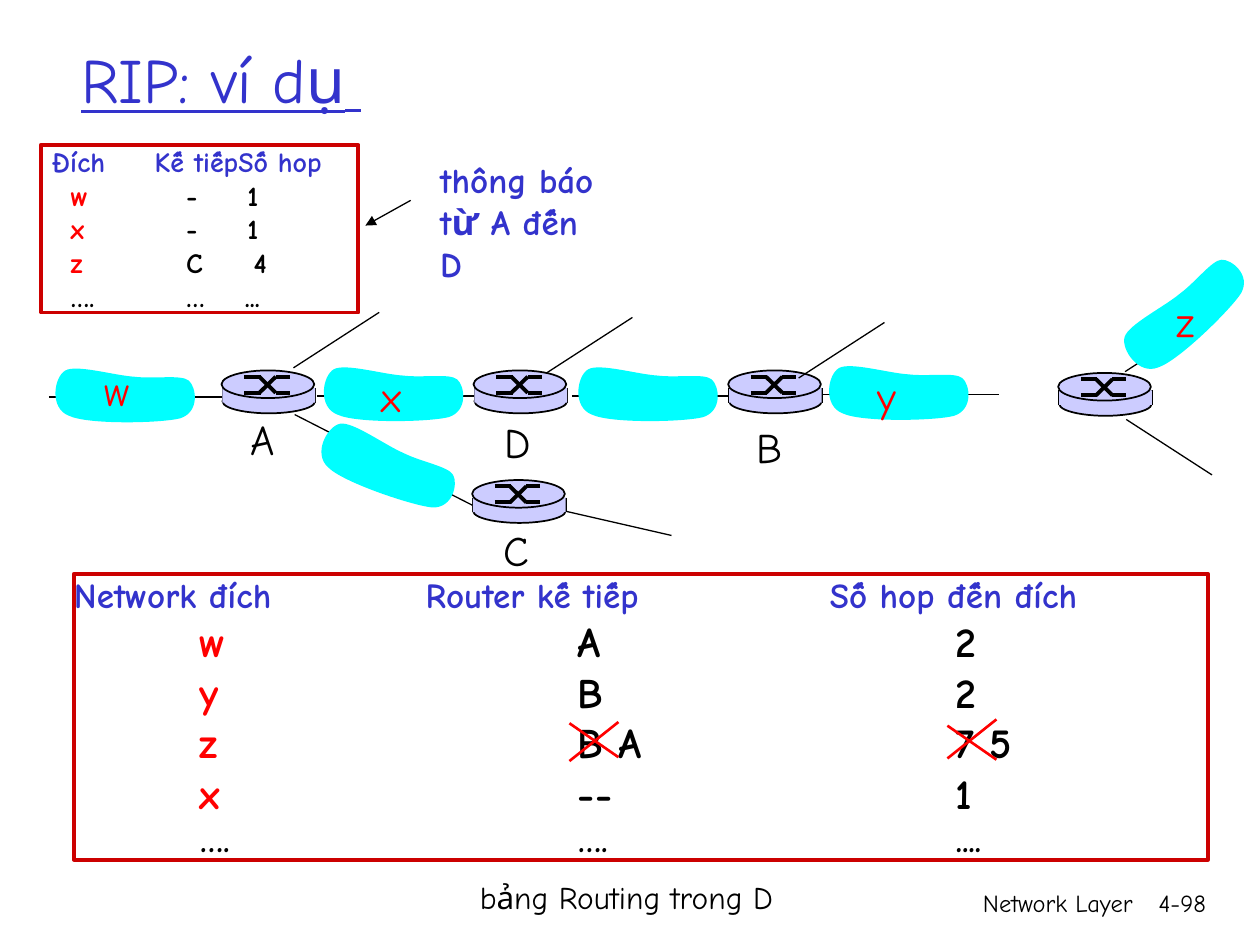
from pptx import Presentation
from pptx.dml.color import RGBColor
from pptx.enum.shapes import MSO_CONNECTOR, MSO_SHAPE
from pptx.enum.text import MSO_ANCHOR, MSO_AUTO_SIZE, PP_ALIGN
from pptx.oxml.ns import qn
from pptx.util import Pt
from lxml import etree

FONT = "Comic Neue"
BLACK = RGBColor(0x00, 0x00, 0x00)
BLUE = RGBColor(0x33, 0x33, 0xCC)
RED = RGBColor(0xFF, 0x00, 0x00)
FRAME = RGBColor(0xCC, 0x00, 0x00)
CYAN = RGBColor(0x00, 0xFF, 0xFF)
LILAC = RGBColor(0xCC, 0xCC, 0xFF)

RECT, OVAL = MSO_SHAPE.RECTANGLE, MSO_SHAPE.OVAL
STRAIGHT = MSO_CONNECTOR.STRAIGHT
LEFT, RIGHT = PP_ALIGN.LEFT, PP_ALIGN.RIGHT
TOP, MIDDLE = MSO_ANCHOR.TOP, MSO_ANCHOR.MIDDLE
NO_FIT, GROW = MSO_AUTO_SIZE.NONE, MSO_AUTO_SIZE.SHAPE_TO_FIT_TEXT

# Cloud outline: a start point, then three Bezier points for each curve
WIDE, HIGH = 86.4, 34.6
START = (49, 7.2)
CURVES = [
    ((37.4, 6.5), (15.8, 0), (9.4, 3.6)),
    ((2.9, 7.2), (0, 25.2), (11.5, 29.5)),
    ((22.3, 34.6), (63.4, 33.8), (74.9, 31)),
    ((86.4, 27.4), (84.2, 13), (79.9, 9.4)),
    ((75.6, 5.8), (60.5, 8.6), START),
]


def add_run(par, text, size, color, bold=False):
    run = par.add_run()
    run.text = text
    font = run.font
    font.name, font.size, font.bold = FONT, Pt(size), bold
    font.color.rgb = color
    return run


def add_text(slide, box, lines, size, color=BLACK, bold=False, align=LEFT, wrap=False):
    frame = slide.shapes.add_textbox(*map(Pt, box)).text_frame
    frame.word_wrap = wrap
    frame.auto_size = NO_FIT if wrap else GROW
    for i, line in enumerate(lines):
        par = frame.add_paragraph() if i else frame.paragraphs[0]
        par.alignment = align
        add_run(par, line, size, color, bold)


def add_line(slide, start, end, width=0.75, color=BLACK, arrow=False):
    line = slide.shapes.add_connector(STRAIGHT, *map(Pt, (*start, *end)))
    line.line.color.rgb = color
    line.line.width = Pt(width)
    if arrow:
        etree.SubElement(line.line._get_or_add_ln(), qn("a:tailEnd"), type="triangle")
    etree.SubElement(line._element.spPr, qn("a:effectLst"))


def add_form(slide, kind, box, fill=None, edge=None, width=1):
    form = slide.shapes.add_shape(kind, *map(Pt, box))
    form.shadow.inherit = False
    if fill is None:
        form.fill.background()
    else:
        form.fill.solid()
        form.fill.fore_color.rgb = fill
    if edge is None:
        form.line.fill.background()
    else:
        form.line.color.rgb = edge
        form.line.width = Pt(width)
    return form


def add_title(slide, box):
    title = slide.shapes.title
    title.left, title.top, title.width, title.height = map(Pt, box)
    frame = title.text_frame
    frame.auto_size, frame.vertical_anchor = NO_FIT, MIDDLE
    par = frame.paragraphs[0]
    par.alignment = LEFT
    for text, size in (("RIP: ví dụ", 36), (" ", 28)):
        add_run(par, text, size, BLUE).font.underline = True


def set_tabs(par, stops):
    tabs = etree.SubElement(par._p.get_or_add_pPr(), qn("a:tabLst"))
    for stop in stops:
        etree.SubElement(tabs, qn("a:tab"), pos=str(Pt(stop)), algn="l")


def add_board(slide, box, head, stops, rows, cols, ends, sizes):
    """Framed routing list; ends holds the last tab stop of each row."""
    frame = add_form(slide, RECT, box, edge=FRAME, width=2.25).text_frame
    frame.margin_left = frame.margin_right = frame.margin_top = frame.margin_bottom = 0
    frame.vertical_anchor, frame.word_wrap = TOP, True
    par = frame.paragraphs[0]
    par.alignment = LEFT
    set_tabs(par, stops)
    add_run(par, head, sizes[0], BLUE, True)
    for i, ((key, *rest), end) in enumerate(zip(rows, ends), 1):
        last = i == len(rows)
        size = sizes[2] if last else sizes[1]
        par = frame.add_paragraph()
        par.alignment = LEFT
        set_tabs(par, (*cols, end))
        add_run(par, "\t" + key, size, BLACK if last else RED, True)
        add_run(par, "\t" + "\t".join(rest), size, BLACK, True)


def add_router(slide, x, y):
    wide = 53
    add_form(slide, OVAL, (x + 0.5, y + 10.8, wide, 13.7), LILAC, BLACK)
    for side in (x + 0.5, x + 0.5 + wide):
        add_line(slide, (side, y + 10), (side, y + 18.4), 1)
    add_form(slide, RECT, (x + 0.5, y + 10, wide, 8.4), LILAC)
    add_form(slide, OVAL, (x, y, wide, 15.8), LILAC, BLACK)
    high, low = y + 3.6, y + 12.8
    for a, b in ((high, low), (low, high)):
        add_line(slide, (x + 13, a), (x + 22.3, a), 2.25)
        add_line(slide, (x + 21.6, a), (x + 31, b), 2.25)
        add_line(slide, (x + 31, b), (x + 39, b), 2.25)


def add_cloud(slide, x, y, turn=0):
    build = slide.shapes.build_freeform(0, 0, scale=1.0)
    build.add_line_segments([(Pt(WIDE), 0), (Pt(WIDE), Pt(HIGH)), (0, Pt(HIGH))])
    cloud = build.convert_to_shape(Pt(x), Pt(y))
    outline = next(cloud._element.iter(qn("a:path")))
    for part in list(outline):
        outline.remove(part)
    for tag, points in [("a:moveTo", [START])] + [("a:cubicBezTo", c) for c in CURVES]:
        part = etree.SubElement(outline, qn(tag))
        for px, py in points:
            etree.SubElement(part, qn("a:pt"), x=str(Pt(px)), y=str(Pt(py)))
    etree.SubElement(outline, qn("a:close"))
    cloud.shadow.inherit = False
    cloud.fill.solid()
    cloud.fill.fore_color.rgb = CYAN
    cloud.line.fill.background()
    cloud.rotation = turn


def add_net(slide, x, y):
    """Network map; x and y are its left edge and the top of its routers."""
    for dx, dy in ((0, 15.1), (153.4, 14.4), (298.8, 14.4), (442.1, 13.7)):
        add_line(slide, (x + dx, y + dy), (x + dx + 100.7, y + dy), 1)
    for dx, dy in ((98.6, 0), (242.6, 0), (241.8, 62.6), (388.1, 0), (576.7, 1.4)):
        add_router(slide, x + dx, y + dy)
    for dx, dy, wide, high in (
            (139.7, -1.5, 49, -31.7), (284.4, 1.4, 49, -31.7), (428.4, 4.3, 49, -31.7),
            (614.9, 0.7, 49, -31.7), (615.6, 28, 49, 31.7),
            (140.4, 25.2, 101.5, 51.8), (295.9, 80.6, 59.8, 13.7)):
        add_line(slide, (x + dx, y + dy), (x + dx + wide, y + dy + high))
    for dx, dy, turn in ((0, -3.6, 0), (153.4, -4.3, 0), (298.8, -4.3, 0),
                         (442.1, -5, 0), (150.5, 37.4, 19.7), (605.5, -49.7, 316.8)):
        add_cloud(slide, x + dx, y + dy, turn)
    for name, dx, dy, wide, color in (
            ("w", 24.5, -7.2, 28.8, RED), ("x", 182.9, -3.6, 25.9, RED),
            ("y", 466.6, -3.6, 25.2, RED), ("z", 637.2, -46.1, 24.5, RED),
            ("A", 108, 20.9, 28.1, BLACK), ("C", 252.7, 84.2, 28.8, BLACK),
            ("D", 253.4, 23, 29.5, BLACK), ("B", 397.4, 25.9, 28.8, BLACK)):
        add_text(slide, (x + dx, y + dy, wide, 36), [name], 24, color)


def add_cross(slide, x, down, up):
    """Two strokes; down and up are the heights at which they start."""
    add_line(slide, (x, down), (x + 28, down + 19.4), 1.5, RED)
    add_line(slide, (x, up), (x + 28, up - 22.3), 1.5, RED)


def main():
    deck = Presentation()
    deck.slide_width, deck.slide_height = Pt(720), Pt(540)
    slide = deck.slides.add_slide(deck.slide_layouts[5])
    add_text(slide, (426.2, 504, 228.2, 36), ["Network Layer"], 14, align=RIGHT, wrap=True)
    add_text(slide, (643, 504, 53.3, 36), ["4-98"], 14, align=RIGHT, wrap=True)
    add_title(slide, (39.3, 0, 612, 90))
    add_board(slide, (42.3, 327.9, 648, 163.4),
              "Network đích\tRouter kế tiếp\tSố hop đến đích", (201, 432),
              [("w", "A", "2"), ("y", "B", "2"), ("z", "B A", "7 5"),
               ("x", "--", "1"), ("….", "….", "....")],
              (72, 288), [504] * 5, (20, 24, 20))
    add_text(slide, (267.1, 498.2, 182.2, 28.8), ["bảng Routing trong D"], 18)
    add_net(slide, 28, 211.7)
    add_board(slide, (23.4, 82.8, 181.4, 95.8),
              "\tĐích\tKế tiếpSố hop", (6, 65),
              [("w", "-", "1"), ("x", "-", "1"), ("z", "C", "4"), ("….", "…", "...")],
              (17, 83), (118, 118, 121.5, 116.5), (16, 16, 16))
    add_text(slide, (244.5, 87.1, 112.3, 55.4), ["thông báo", "từ A đến D"], 20, BLUE, True)
    add_line(slide, (234.7, 114.5), (208.8, 128.9), arrow=True)
    add_cross(slide, 325.4, 413.3, 434.9)
    add_cross(slide, 541.4, 414.7, 433.4)
    deck.save("out.pptx")


if __name__ == "__main__":
    main()
